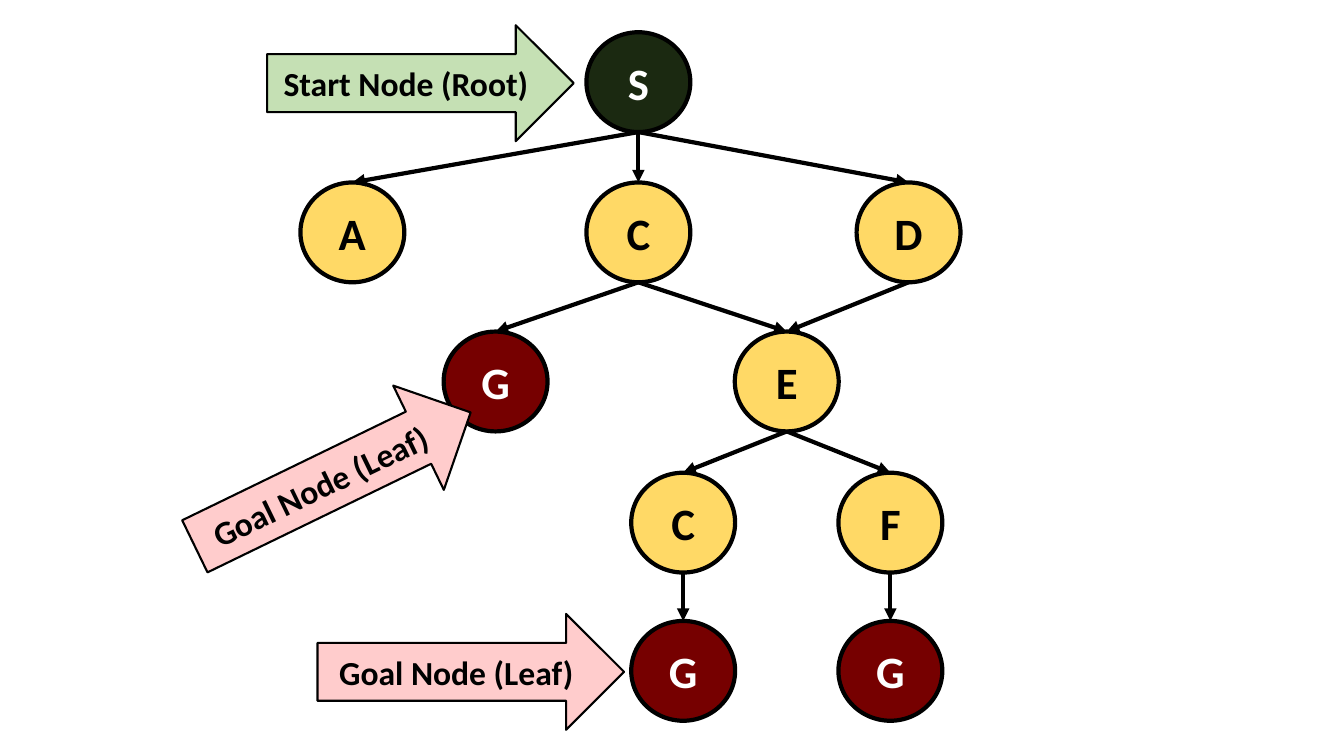
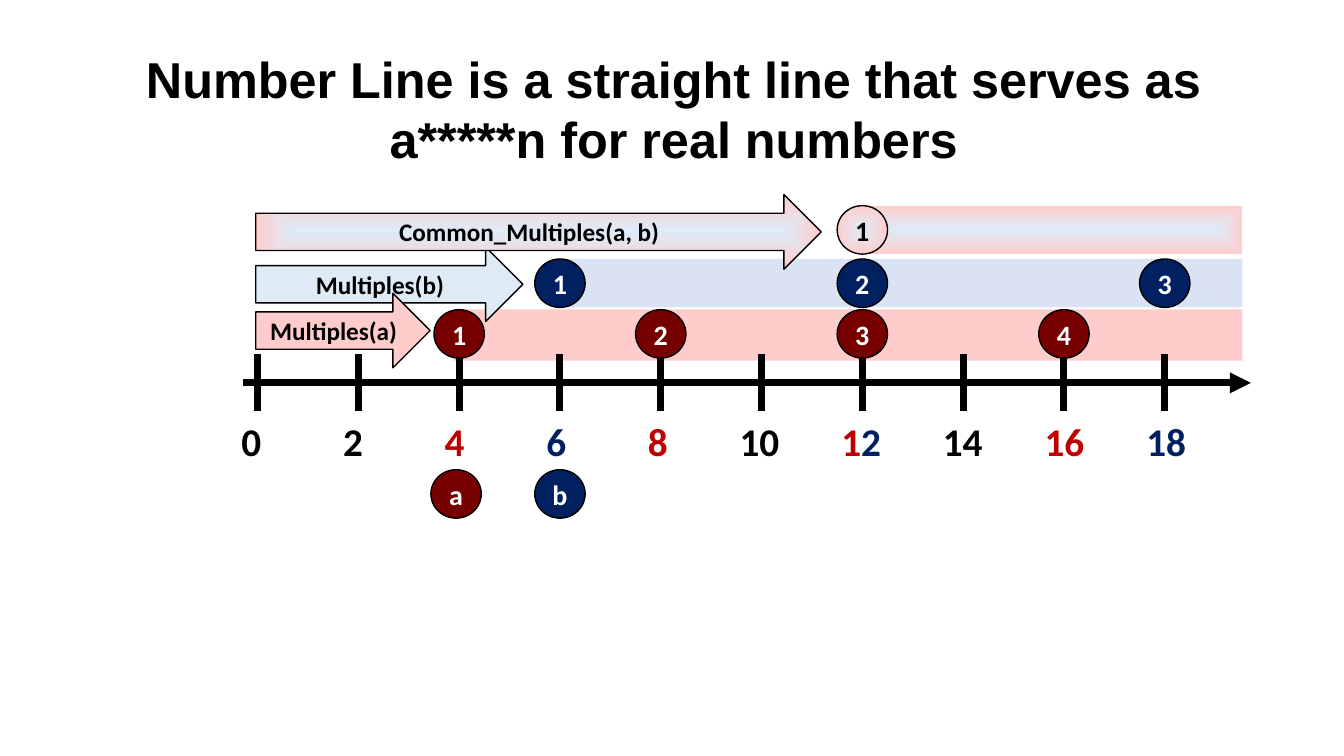
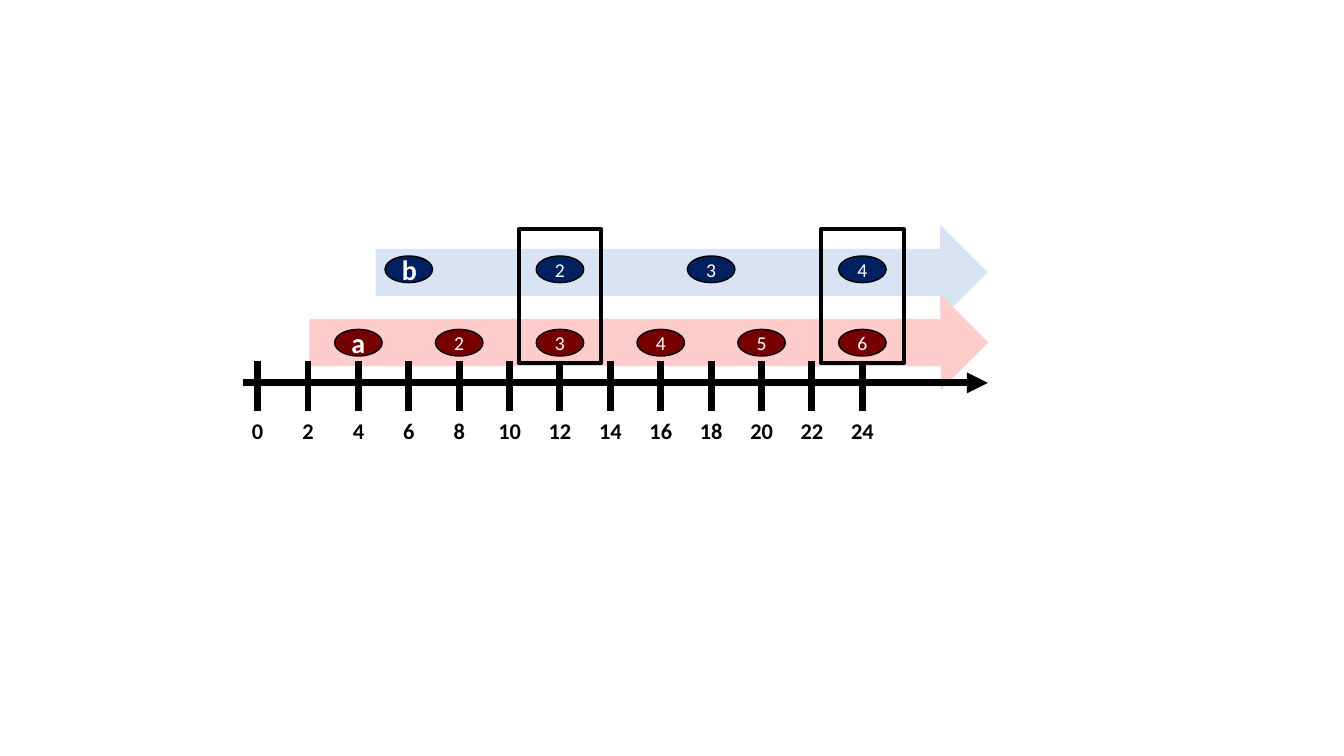
"""Build three slides: a search tree and two number lines of multiples."""
from dataclasses import dataclass
from typing import Any, Optional

from lxml import etree
from pptx import Presentation
from pptx import util as u
from pptx.dml.color import RGBColor
from pptx.enum import shapes, text
from pptx.oxml.ns import qn

COLOURS: dict[str, str] = {
    "black": "000000", "white": "FFFFFF", "root": "1B2911", "node": "FFD966",
    "maroon": "760000", "navy": "002060", "red": "C00000", "green": "C5E0B4",
    "pink": "FFCCCC", "blue": "DAE3F3", "pale": "DEEBF7",
}
ELLIPSE = shapes.MSO_SHAPE.OVAL
RECTANGLE = shapes.MSO_SHAPE.RECTANGLE
ARROW = shapes.MSO_SHAPE.RIGHT_ARROW
TITLE_ONLY, BLANK = 5, 6
NODE_WIDTH, NODE_HEIGHT = 74.2, 71.3
AXIS_START, AXIS_Y, TICK_BOTTOM, LABEL_TOP = 173.5, 273.5, 293.5, 294.5

Frame = tuple[float, float, float, float]
Span = tuple[str, str]


@dataclass(frozen=True)
class Figure:
    """A preset shape with its frame, colours and optional label."""
    kind: Any
    frame: Frame
    fill: Optional[str] = None
    line: float = 0
    label: str = ""
    size: float = 20
    colour: str = "white"
    bold: bool = True
    rotation: float = 0


@dataclass(frozen=True)
class Node:
    """A tree node given by its letter, centre and fill."""
    letter: str
    x: float
    y: float
    fill: str = "node"


@dataclass(frozen=True)
class NumberLine:
    """An axis with ticks at even values and a label under each tick."""
    last: int
    unit: float
    end: float
    tick_top: float
    label_start: float
    label_unit: float
    label_width: float
    label_height: float
    label_size: float
    zero: float = 184

    def x(self, value: float) -> float:
        """Return the horizontal place of a value."""
        return self.zero + self.unit * value


def apply(target: Any, values: dict[str, Any]) -> None:
    """Set every named attribute on the target."""
    for name, value in values.items():
        setattr(target, name, value)


def rgb(name: str) -> RGBColor:
    """Return a named colour."""
    return RGBColor.from_string(COLOURS[name])


def centred(x: float, y: float, width: float, height: float) -> Frame:
    """Return the frame around a centre."""
    return x - width / 2, y - height / 2, width, height


def points(frame: tuple[float, ...]) -> list[u.Length]:
    """Convert numbers to lengths in points."""
    return [u.Pt(value) for value in frame]


def write(box: Any, spans: list[Span], size: float, bold: bool = True,
          font: str = "Calibri", anchor: Any = text.MSO_ANCHOR.MIDDLE) -> None:
    """Write one centred paragraph of coloured spans."""
    apply(box.text_frame, {"word_wrap": True, "vertical_anchor": anchor})
    para = box.text_frame.paragraphs[0]
    para.alignment = text.PP_ALIGN.CENTER
    for words, colour in spans:
        span = para.add_run()
        span.text = words
        apply(span.font, {"name": font, "size": u.Pt(size), "bold": bold})
        span.font.color.rgb = rgb(colour)


def fill_gradient(shape: Any) -> None:
    """Fill a shape from a pale centre to pink edges."""
    shape.fill.gradient()
    for stop, colour, place in zip(shape.fill.gradient_stops, ("pale", "pink"), (0, 1)):
        stop.color.rgb = rgb(colour)
        stop.position = place
    gradient = shape._element.spPr.find(qn("a:gradFill"))
    gradient.remove(gradient.find(qn("a:lin")))
    outline = etree.SubElement(gradient, qn("a:path"), {"path": "shape"})
    etree.SubElement(outline, qn("a:fillToRect"), dict.fromkeys("ltrb", "50000"))


def draw(page: Any, figure: Figure) -> None:
    """Draw a figure on the page."""
    shape = page.shapes.add_shape(figure.kind, *points(figure.frame))
    shape.shadow.inherit = False
    shape.rotation = figure.rotation
    if figure.fill == "gradient":
        fill_gradient(shape)
    elif figure.fill:
        shape.fill.solid()
        shape.fill.fore_color.rgb = rgb(figure.fill)
    else:
        shape.fill.background()
    if figure.line:
        shape.line.width = u.Pt(figure.line)
        shape.line.color.rgb = rgb("black")
    else:
        shape.line.fill.background()
    if figure.label:
        write(shape, [(figure.label, figure.colour)], figure.size, figure.bold)


def connect(page: Any, ends: Frame, width: float, arrow: bool = False) -> None:
    """Draw a black straight line, with an arrowhead if asked."""
    line = page.shapes.add_connector(shapes.MSO_CONNECTOR.STRAIGHT, *points(ends))
    line.line.width = u.Pt(width)
    line.line.color.rgb = rgb("black")
    etree.SubElement(line._element.spPr, qn("a:effectLst"))
    if arrow:
        outline = line._element.spPr.find(qn("a:ln"))
        etree.SubElement(outline, qn("a:tailEnd"), {"type": "triangle"})


def label_spans(value: int, coloured: bool) -> list[Span]:
    """Colour multiples of 4 red, of 6 navy and of both digit by digit."""
    if not coloured or not value:
        return [(str(value), "black")]
    if value % 12 == 0:
        return list(zip(str(value), ("red", "navy")))
    colour = "red" if value % 4 == 0 else "navy" if value % 6 == 0 else "black"
    return [(str(value), colour)]


def draw_number_line(page: Any, axis: NumberLine, coloured: bool = False) -> None:
    """Draw the axis, its ticks and its labels."""
    connect(page, (AXIS_START, AXIS_Y, axis.end, AXIS_Y), 5, True)
    for value in range(0, axis.last + 1, 2):
        x = axis.x(value)
        connect(page, (x, axis.tick_top, x, TICK_BOTTOM), 5)
        left = axis.label_start + axis.label_unit * value - axis.label_width / 2
        box = page.shapes.add_textbox(
            *points((left, LABEL_TOP, axis.label_width, axis.label_height)))
        write(box, label_spans(value, coloured), axis.label_size,
              anchor=text.MSO_ANCHOR.TOP)


def build_tree(deck: Any) -> None:
    """Build the search tree slide."""
    page = deck.slides.add_slide(deck.slide_layouts[BLANK])
    nodes = {
        "start": Node("S", 456, 58.7, "root"),
        "a": Node("A", 251.7, 166),
        "c": Node("C", 456, 166),
        "d": Node("D", 649, 166),
        "goal": Node("G", 354, 272.5, "maroon"),
        "e": Node("E", 562, 272.5),
        "lower c": Node("C", 488, 373.3),
        "f": Node("F", 636, 373.3),
        "goal c": Node("G", 488, 479.2, "maroon"),
        "goal f": Node("G", 636, 479.2, "maroon"),
    }
    edges = [("start", "a"), ("start", "c"), ("start", "d"), ("c", "goal"),
             ("c", "e"), ("d", "e"), ("e", "lower c"), ("e", "f"),
             ("lower c", "goal c"), ("f", "goal f")]
    for node in nodes.values():
        colour = "black" if node.fill == "node" else "white"
        draw(page, Figure(ELLIPSE, centred(node.x, node.y, NODE_WIDTH, NODE_HEIGHT),
                          node.fill, 3, node.letter, 32, colour))
    for parent, child in edges:
        upper, lower = nodes[parent], nodes[child]
        connect(page, (upper.x, upper.y + NODE_HEIGHT / 2,
                       lower.x, lower.y - NODE_HEIGHT / 2), 3, True)
    callouts = [("Start Node (Root)", 190.8, 18, "green", 0),
                ("Goal Node (Leaf)", 226.8, 438.5, "pink", 0),
                ("Goal Node (Leaf)", 128.2, 301, "pink", 334.1)]
    for label, left, top, fill, rotation in callouts:
        draw(page, Figure(ARROW, (left, top, 219, 82.8), fill, 1.5, label, 24,
                          "black", rotation=rotation))


def build_multiples(deck: Any) -> None:
    """Build the titled slide on common multiples."""
    page = deck.slides.add_slide(deck.slide_layouts[TITLE_ONLY])
    title = page.shapes.title
    apply(title, dict(zip(("left", "top", "width", "height"),
                          points((56.9, 30.2, 848.9, 94.3)))))
    write(title, [("Number Line is a straight line that serves as a*****n for real numbers",
                   "black")], 36, font="Arial")
    axis = NumberLine(last=18, unit=36, end=893.5, tick_top=253, label_start=179.5,
                      label_unit=36.3, label_width=63.4, label_height=41, label_size=28)
    bands = [(614.9, 146.9, 272.6, 34.6, "gradient"),
             (324, 221, 563.5, 36.7, "pink"),
             (399.6, 185, 487.9, 34.6, "blue")]
    for *frame, fill in bands:
        draw(page, Figure(RECTANGLE, tuple(frame), fill))
    draw_number_line(page, axis, True)
    badges = [(str(count), axis.x(4 * count), 238.5, "maroon") for count in range(1, 5)]
    badges += [(str(count), axis.x(6 * count), 202.3, "navy") for count in range(1, 4)]
    badges += [("a", 325.8, 352.8, "maroon"), ("b", 400, 352.8, "navy"),
               ("1", axis.x(12), 164.2, "gradient")]
    for label, x, y, fill in badges:
        colour = "black" if fill == "gradient" else "white"
        draw(page, Figure(ELLIPSE, centred(x, y, 36, 34.6), fill, 1, label, 20, colour))
    arrows = [("Multiples(b)", 176.4, 190.8, "pale"),
              ("Multiples(a)", 209.5, 124.6, "pink"),
              ("Common_Multiples(a, b)", 139, 403.9, "gradient")]
    for label, top, width, fill in arrows:
        draw(page, Figure(ARROW, (182.7, top, width, 53.3), fill, 1, label, 18, "black"))


def build_overlap(deck: Any) -> None:
    """Build the slide that frames the shared multiples."""
    page = deck.slides.add_slide(deck.slide_layouts[BLANK])
    axis = NumberLine(last=24, unit=18, end=705.6, tick_top=258, label_start=184,
                      label_unit=18, label_width=54, label_height=26.6, label_size=16)
    for left, top, width, fill in [(268.4, 160.8, 437, "blue"),
                                   (221, 210.8, 485, "pink")]:
        draw(page, Figure(ARROW, (left, top, width, 67.7), fill))
    draw_number_line(page, axis)
    rows = [("a", 4, 6, 244.8, "maroon"), ("b", 6, 4, 192.4, "navy")]
    for letter, factor, total, y, fill in rows:
        for count in range(1, total + 1):
            first = count == 1
            draw(page, Figure(ELLIPSE, centred(axis.x(factor * count), y, 34, 19), fill, 1,
                              letter if first else str(count), 20 if first else 14,
                              bold=first))
    for value in (12, 24):
        draw(page, Figure(RECTANGLE, centred(axis.x(value), 211.7, 59, 95.8), line=3))


def main() -> None:
    """Build and save the deck."""
    deck = Presentation()
    apply(deck, {"slide_width": u.Pt(960), "slide_height": u.Pt(540)})
    for build in (build_tree, build_multiples, build_overlap):
        build(deck)
    deck.save("out.pptx")


main()
